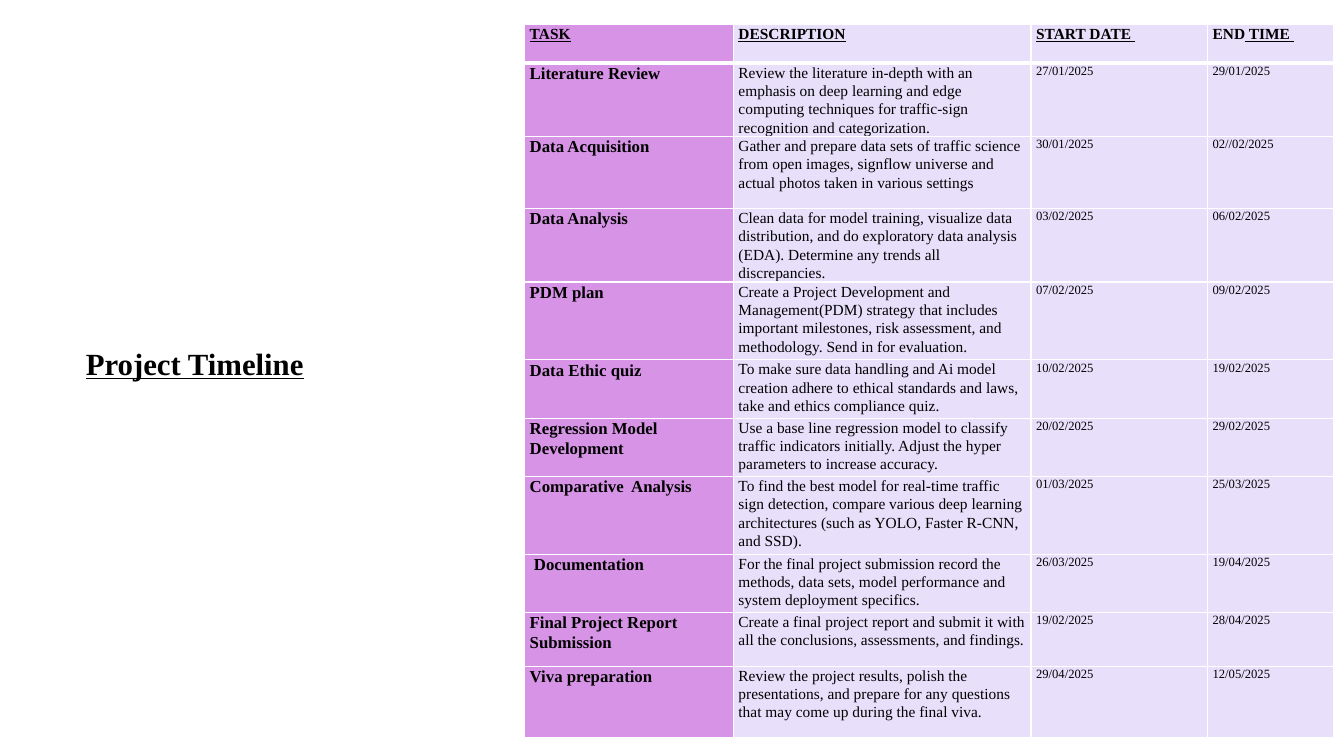
"""Build the project timeline slide: a title beside a task schedule table."""
from dataclasses import dataclass

from lxml import etree
from pptx import Presentation
from pptx.dml.color import RGBColor
from pptx.enum.text import MSO_ANCHOR, MSO_AUTO_SIZE, PP_ALIGN
from pptx.oxml.ns import qn
from pptx.slide import Slide
from pptx.table import Table, _Cell
from pptx.util import Cm, Pt

LEFT = PP_ALIGN.LEFT
MIDDLE = MSO_ANCHOR.MIDDLE
TOP = MSO_ANCHOR.TOP
NO_AUTOFIT = MSO_AUTO_SIZE.NONE

BLACK = RGBColor(0x00, 0x00, 0x00)
WHITE = RGBColor(0xFF, 0xFF, 0xFF)
ORCHID = RGBColor(0xD7, 0x94, 0xE6)
LAVENDER = RGBColor(0xE8, 0xE0, 0xFB)

FONT_NAME = "Times New Roman"
TITLE_ONLY_LAYOUT = 5
THIN_BORDER = 1
HEADER_BORDER = 3
CELL_INSET = Cm(0.13)


@dataclass(frozen=True)
class Column:
    """Width and text style of one table column."""

    width: float
    fill: RGBColor
    size: int
    bold: bool = False


@dataclass(frozen=True)
class Task:
    """One scheduled task and its row height."""

    name: str
    description: str
    start: str
    end: str
    height: float


COLUMNS = (
    Column(5.26, ORCHID, 12, True),
    Column(7.5, LAVENDER, 11),
    Column(4.45, LAVENDER, 9),
    Column(3.17, LAVENDER, 9),
)
HEADER_HEIGHT = 0.97
HEADER_RUNS = (
    (("TASK", True),),
    (("DESCRIPTION", True),),
    (("START DATE ", True),),
    (("END", False), (" TIME ", True)),
)
TASKS = (
    Task("Literature Review",
         "Review the literature in-depth with an emphasis on deep learning and edge computing "
         "techniques for traffic-sign recognition and categorization.",
         "27/01/2025", "29/01/2025", 1.82),
    Task("Data Acquisition",
         "Gather and prepare data sets of traffic science from open images, signflow universe "
         "and actual photos taken in various settings",
         "30/01/2025", "02//02/2025", 1.82),
    Task("Data Analysis",
         "Clean data for model training, visualize data distribution, and do exploratory data "
         "analysis (EDA). Determine any trends all discrepancies.",
         "03/02/2025", "06/02/2025", 1.82),
    Task("PDM plan",
         "Create a Project Development and Management(PDM) strategy that includes important "
         "milestones, risk assessment, and methodology. Send in for evaluation.",
         "07/02/2025", "09/02/2025", 1.96),
    Task("Data Ethic quiz",
         "To make sure data handling and Ai model creation adhere to ethical standards and "
         "laws, take and ethics compliance quiz.",
         "10/02/2025", "19/02/2025", 1.47),
    Task("Regression Model Development",
         "Use a base line regression model to classify traffic indicators initially. Adjust "
         "the hyper parameters to increase accuracy.",
         "20/02/2025", "29/02/2025", 1.47),
    Task("Comparative  Analysis",
         "To find the best model for real-time traffic sign detection, compare various deep "
         "learning architectures (such as YOLO, Faster R-CNN, and SSD).",
         "01/03/2025", "25/03/2025", 1.96),
    Task(" Documentation",
         "For the final project submission record the methods, data sets, model performance "
         "and system deployment specifics.",
         "26/03/2025", "19/04/2025", 1.47),
    Task("Final Project Report Submission",
         "Create a final project report and submit it with all the conclusions, assessments, "
         "and findings.",
         "19/02/2025", "28/04/2025", 1.35),
    Task("Viva preparation",
         "Review the project results, polish the presentations, and prepare for any questions "
         "that may come up during the final viva.",
         "29/04/2025", "12/05/2025", 1.8),
)


def add_title(slide: Slide) -> None:
    """Place and format the slide title."""
    title = slide.shapes.title
    title.left, title.top, title.width, title.height = Cm(1.91), Cm(8.4), Cm(10.5), Cm(1.6)
    frame = title.text_frame
    frame.text = "Project Timeline"
    frame.auto_size = NO_AUTOFIT
    frame.vertical_anchor = MIDDLE
    paragraph = frame.paragraphs[0]
    paragraph.alignment = LEFT
    paragraph.line_spacing = 0.9
    font = paragraph.font
    font.name, font.size, font.bold, font.underline = FONT_NAME, Pt(22), True, True
    font.color.rgb = BLACK


def set_borders(cell: _Cell, top: int, bottom: int) -> None:
    """Give a cell white borders, with top and bottom widths in points."""
    properties = cell._tc.get_or_add_tcPr()
    widths = {"a:lnL": THIN_BORDER, "a:lnR": THIN_BORDER, "a:lnT": top, "a:lnB": bottom}
    for position, (tag, width) in enumerate(widths.items()):
        line = etree.Element(qn(tag), w=str(Pt(width)))
        fill = etree.SubElement(line, qn("a:solidFill"))
        etree.SubElement(fill, qn("a:srgbClr"), val=str(WHITE))
        properties.insert(position, line)


def format_cell(cell: _Cell, column: Column, size: int, bold: bool) -> None:
    """Set the fill, insets and paragraph style of a cell."""
    cell.fill.solid()
    cell.fill.fore_color.rgb = column.fill
    cell.margin_left = cell.margin_right = CELL_INSET
    cell.margin_top = cell.margin_bottom = 0
    cell.vertical_anchor = TOP
    paragraph = cell.text_frame.paragraphs[0]
    paragraph.alignment = LEFT
    paragraph.line_spacing = 1.07
    font = paragraph.font
    font.name, font.size, font.bold = FONT_NAME, Pt(size), bold
    font.color.rgb = BLACK


def fill_header(table: Table) -> None:
    """Write the header row."""
    table.rows[0].height = Cm(HEADER_HEIGHT)
    for cell, column, runs in zip(table.rows[0].cells, COLUMNS, HEADER_RUNS):
        for text, underlined in runs:
            run = cell.text_frame.paragraphs[0].add_run()
            run.text = text
            run.font.underline = underlined
        format_cell(cell, column, 11, True)
        set_borders(cell, THIN_BORDER, HEADER_BORDER)


def fill_task(table: Table, index: int, task: Task) -> None:
    """Write one task row."""
    row = table.rows[index]
    row.height = Cm(task.height)
    texts = (task.name, task.description, task.start, task.end)
    for cell, column, text in zip(row.cells, COLUMNS, texts):
        cell.text = text
        format_cell(cell, column, column.size, column.bold)
        set_borders(cell, HEADER_BORDER if index == 1 else THIN_BORDER, THIN_BORDER)


def add_schedule(slide: Slide) -> None:
    """Add the schedule table."""
    width = sum(column.width for column in COLUMNS)
    height = HEADER_HEIGHT + sum(task.height for task in TASKS)
    table = slide.shapes.add_table(
        len(TASKS) + 1, len(COLUMNS), Cm(13.22), Cm(0.62), Cm(width), Cm(height)
    ).table
    table.first_row = table.horz_banding = False
    for table_column, column in zip(table.columns, COLUMNS):
        table_column.width = Cm(column.width)
    fill_header(table)
    for index, task in enumerate(TASKS, start=1):
        fill_task(table, index, task)


def main() -> None:
    """Create the presentation and save it."""
    presentation = Presentation()
    presentation.slide_width, presentation.slide_height = Cm(33.87), Cm(19.05)
    slide = presentation.slides.add_slide(presentation.slide_layouts[TITLE_ONLY_LAYOUT])
    add_title(slide)
    add_schedule(slide)
    presentation.save("out.pptx")


if __name__ == "__main__":
    main()
